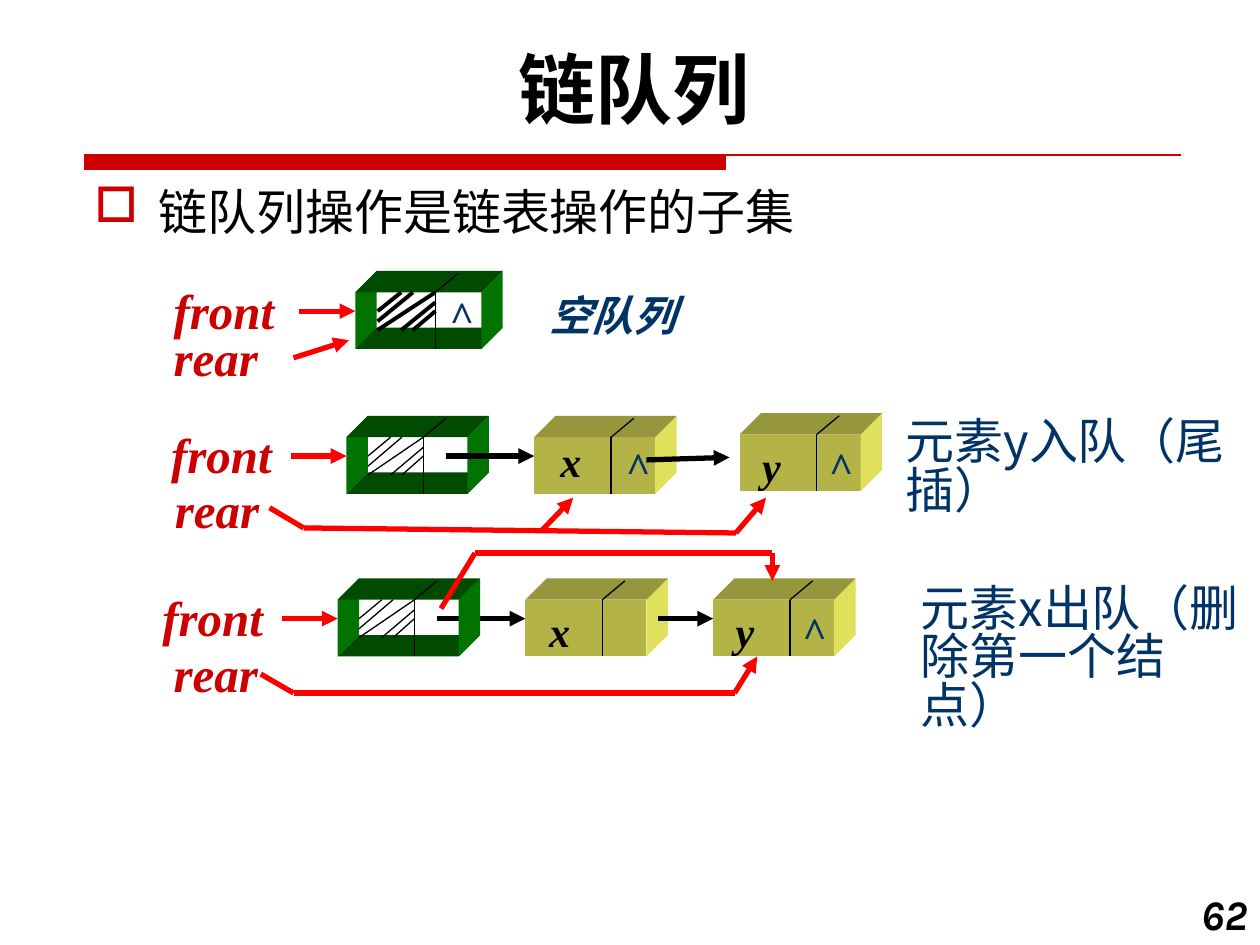
import pptx
import pptx.util
import pptx.dml.color
import pptx.enum.shapes
import pptx.enum.text
import pptx.oxml
import pptx.oxml.ns
import lxml.etree

Inches, Pt = pptx.util.Inches, pptx.util.Pt
RGBColor = pptx.dml.color.RGBColor
ALIGN = pptx.enum.text.PP_ALIGN
MIDDLE = pptx.enum.text.MSO_ANCHOR.MIDDLE

BLACK = RGBColor(0x00, 0x00, 0x00)
RED = RGBColor(0xFF, 0x00, 0x00)
DARK_RED = RGBColor(0xCC, 0x00, 0x00)
NAVY = RGBColor(0x00, 0x33, 0x66)
GREEN_DARK = RGBColor(0x00, 0x4B, 0x00)
GREEN = RGBColor(0x00, 0x73, 0x00)
YELLOW_FRONT = RGBColor(0xB3, 0xB3, 0x47)
YELLOW_TOP = RGBColor(0x96, 0x96, 0x3C)
YELLOW_SIDE = RGBColor(0xE0, 0xE0, 0x5C)

SANS, SERIF, KARLA = "Noto Sans CJK SC", "Times New Roman", "Karla"
NODE_WIDTH, NODE_HEIGHT, DEPTH = 0.96, 0.45, 0.17
DIVIDER = 0.61 / 0.96  # share of the node's width
HATCH = [(0.44, 0, 0.17, 0.23), (0.61, 0.08, 0.35, 0.3), (0.61, 0, 0.17, 0.3),
         (0.61, 0.15, 0.44, 0.3), (0.35, 0, 0.17, 0.15)]

# Content: head nodes (left, top, width, hatch weight), data nodes (left, top)
HEADS = [(2.82, 2.32, 1, 2.25), (2.75, 3.47, 0.96, 0.75), (2.68, 4.76, 0.96, 0.75)]
NODES = [(4.24, 3.47), (5.87, 3.45), (4.17, 4.76), (5.66, 4.76)]
HIDDEN_LINK = [(3.47, 4.91), (4.17, 4.91)]  # runs behind the last head node's wall
LINKS = [[(3.54, 3.62), (4.24, 3.62)], [(5.13, 3.65), (5.79, 3.63)],
         [(5.22, 4.91), (5.66, 4.91)]]
# Pointer routes: the last leg of each has the arrowhead
POINTERS = [
    [(2.37, 2.47), (2.82, 2.47)], [(2.33, 2.84), (2.77, 2.7)],
    [(2.31, 3.62), (2.75, 3.62)], [(2.24, 4.91), (2.68, 4.91)],
    [(2.14, 4.03), (2.41, 4.19), (5.84, 4.23), (6.08, 3.95)],
    [(4.3, 4.21), (4.55, 3.95)],
    [(2.07, 5.35), (2.33, 5.5), (5.83, 5.5), (6.01, 5.21)],
    [(3.5, 4.83), (3.77, 4.39), (6.13, 4.39), (6.13, 4.61)],
]
POINTER_NAMES = [("front", 1.28, 2.18), ("rear", 1.28, 2.55), ("front", 1.26, 3.32),
                 ("rear", 1.29, 3.76), ("front", 1.19, 4.61), ("rear", 1.28, 5.06)]
VALUES = [("x", 4.35, 3.41), ("y", 5.95, 3.45), ("x", 4.26, 4.76), ("y", 5.74, 4.76)]
NULLS = [(3.47, 2.25), (4.87, 3.45), (6.48, 3.45), (6.27, 4.76)]
CAPTIONS = [("元素y入队（尾插）", 7.09, 3.29, 3.44, 1.04),
            ("元素x出队（删除第一个结点）", 7.21, 4.61, 2.82, 1.5)]

presentation = pptx.Presentation()
presentation.slide_width, presentation.slide_height = Inches(10), Inches(7.5)
slide = presentation.slides.add_slide(presentation.slide_layouts[6])
shapes = slide.shapes


def add_text(text, left, top, width, height, size=28, font=SANS, color=BLACK, bold=False,
             italic=False, align=ALIGN.LEFT, spacing=None, anchor=None, bullet=None):
    frame = shapes.add_textbox(*map(Inches, (left, top, width, height))).text_frame
    frame.word_wrap = True
    if anchor is not None:
        frame.vertical_anchor = anchor
    paragraph = frame.paragraphs[0]
    paragraph.alignment = align
    if spacing:
        paragraph.line_spacing = spacing
    if bullet:
        properties = paragraph._p.get_or_add_pPr()
        properties.set("marL", str(Inches(0.51)))
        properties.set("indent", str(-Inches(0.51)))
        bullet_color = lxml.etree.SubElement(properties, pptx.oxml.ns.qn("a:buClr"))
        lxml.etree.SubElement(bullet_color, pptx.oxml.ns.qn("a:srgbClr"), val=str(DARK_RED))
        lxml.etree.SubElement(properties, pptx.oxml.ns.qn("a:buChar"), char=bullet)
    run = paragraph.add_run()
    run.text = text
    run.font.name, run.font.size = font, Pt(size)
    run.font.bold, run.font.italic = bold, italic
    run.font.color.rgb = color
    east_asian = lxml.etree.SubElement(run._r.get_or_add_rPr(), pptx.oxml.ns.qn("a:ea"))
    east_asian.set("typeface", SANS)


def add_line(start, end, color=BLACK, weight=0.75, arrow=False):
    connector = shapes.add_connector(pptx.enum.shapes.MSO_CONNECTOR.STRAIGHT,
                                     *map(Inches, (*start, *end)))
    connector.line.color.rgb = color
    connector.line.width = Pt(weight)
    if arrow:
        lxml.etree.SubElement(connector.line._get_or_add_ln(),
                              pptx.oxml.ns.qn("a:tailEnd"), type="triangle")
    lxml.etree.SubElement(connector._element.spPr, pptx.oxml.ns.qn("a:effectLst"))


def add_route(points, color):
    legs = list(zip(points, points[1:]))
    for index, (start, end) in enumerate(legs):
        add_line(start, end, color, 3, arrow=index == len(legs) - 1)


def add_face(points, color):
    points = [(Inches(x), Inches(y)) for x, y in points]
    builder = shapes.build_freeform(*points[0], scale=1.0)
    builder.add_line_segments(points[1:], close=True)
    face = builder.convert_to_shape()
    face.fill.solid()
    face.fill.fore_color.rgb = color
    face.line.fill.background()
    face.shadow.inherit = False


def add_box(left, top, width, hollow):
    right, bottom = left + width, top + NODE_HEIGHT

    def slanted(start, end):
        return [start, (start[0] + DEPTH, start[1] - DEPTH),
                (end[0] + DEPTH, end[1] - DEPTH), end]

    corners = [(left, top), (right, top), (right, bottom), (left, bottom)]
    top_left, top_right, bottom_right, bottom_left = corners
    if hollow:
        add_face(slanted(top_left, bottom_left), GREEN)
        add_face(slanted(bottom_left, bottom_right), GREEN_DARK)
    else:
        add_face(corners, YELLOW_FRONT)
    add_face(slanted(top_right, bottom_right), GREEN if hollow else YELLOW_SIDE)
    add_face(slanted(top_left, top_right), GREEN_DARK if hollow else YELLOW_TOP)
    middle = left + width * DIVIDER
    add_line((middle, top), (middle, bottom))
    add_line((middle, top), (middle + 0.18, top - 0.15))


# Title, rule and bullet
add_text("链队列", 0.41, 0.28, 9.25, 0.84, size=44, font=KARLA, bold=True,
         align=ALIGN.CENTER, anchor=MIDDLE)
add_face([(0.67, 1.23), (5.76, 1.23), (5.76, 1.35), (0.67, 1.35)], DARK_RED)
add_line((0.67, 1.23), (9.37, 1.23), DARK_RED)
add_text("链队列操作是链表操作的子集", 0.65, 1.47, 9.58, 0.62, spacing=0.83, bullet="□")

# Nodes
add_route(HIDDEN_LINK, BLACK)
for left, top, width, weight in HEADS:
    add_box(left, top, width, hollow=True)
    stretch = width / NODE_WIDTH
    for x1, y1, x2, y2 in HATCH:
        add_line((left + x1 * stretch, top + y1), (left + x2 * stretch, top + y2),
                 weight=weight)
for left, top in NODES:
    add_box(left, top, NODE_WIDTH, hollow=False)

# Arrows
for points in LINKS:
    add_route(points, BLACK)
for points in POINTERS:
    add_route(points, RED)

# Labels
for text, left, top in POINTER_NAMES:
    add_text(text, left, top, 1.1, 0.57, font=SERIF, color=DARK_RED, bold=True, italic=True)
for text, left, top in VALUES:
    add_text(text, left, top, 0.44, 0.5, size=24, font=SERIF, bold=True, italic=True)
for left, top in NULLS:
    add_text("^", left, top, 0.44, 0.5, size=24, font=SERIF, color=NAVY, bold=True, italic=True)
add_text("空队列", 4.26, 2.25, 1.31, 0.5, size=24, font=SERIF, color=NAVY, bold=True,
         italic=True, anchor=MIDDLE)
for text, left, top, width, height in CAPTIONS:
    add_text(text, left, top, width, height, color=NAVY, spacing=0.83)
add_text("62", 9.33, 7, 0.67, 0.5, size=24, font=KARLA, bold=True, italic=True,
         align=ALIGN.RIGHT)

presentation.save("out.pptx")
